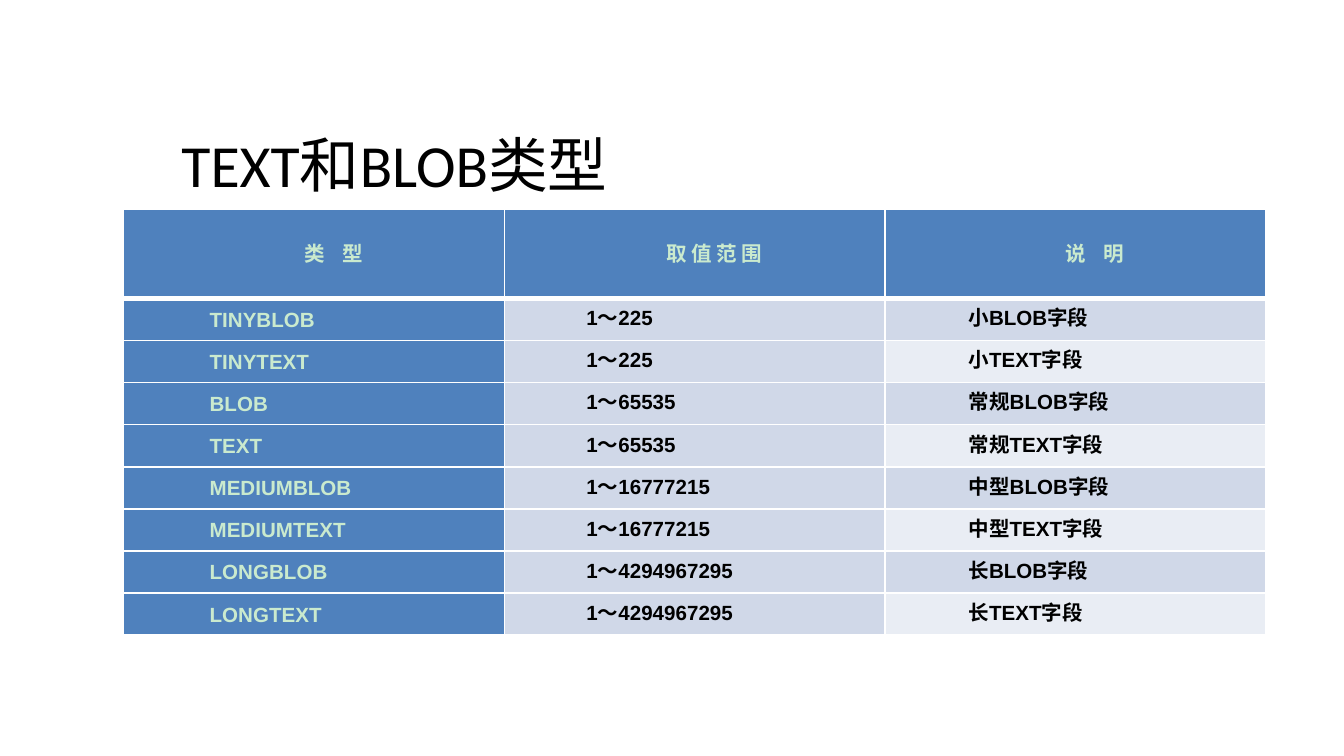
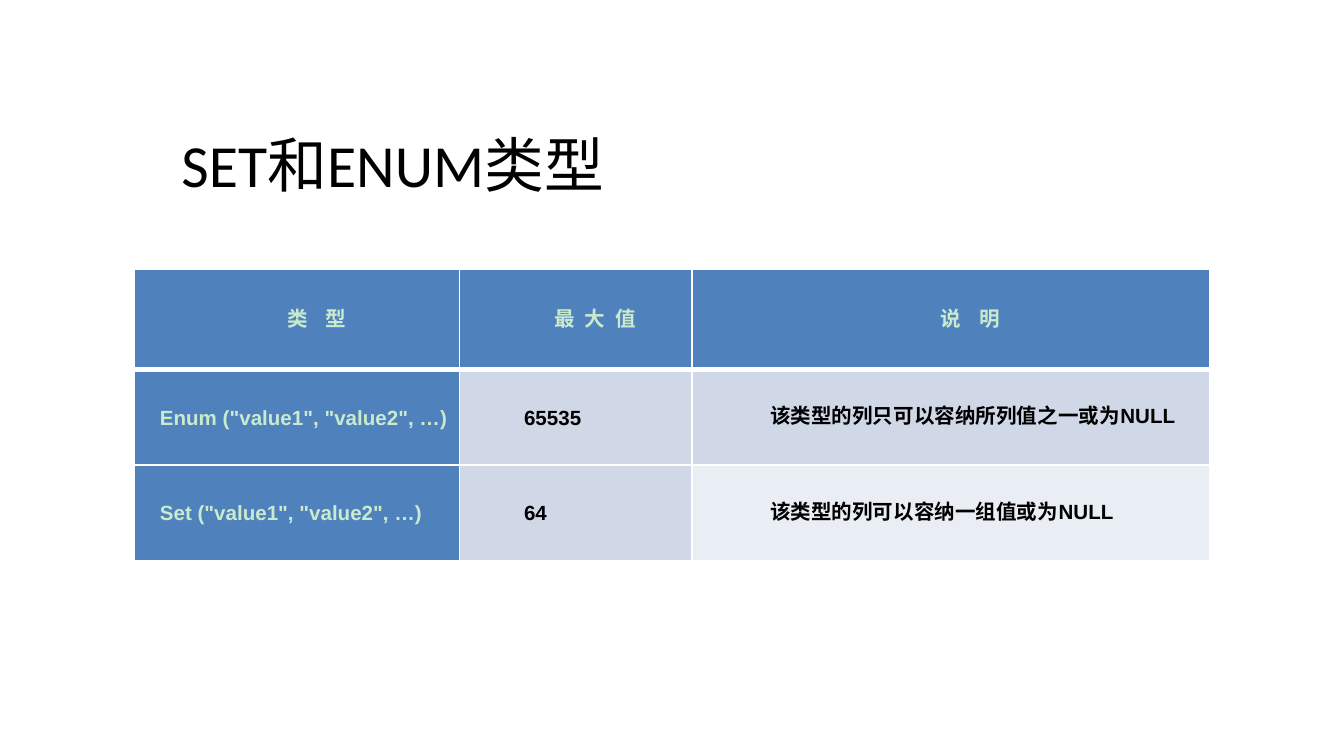
import pptx
import pptx.dml.color
import pptx.enum.text
import pptx.oxml
import pptx.oxml.ns
import pptx.util

Inches = pptx.util.Inches
Pt = pptx.util.Pt
Align = pptx.enum.text.PP_ALIGN
Anchor = pptx.enum.text.MSO_ANCHOR

COLORS = {
    "background": "FFFFFF",
    "border": "FFFFFF",
    "header": "4F81BD",
    "light_text": "CAEACE",
    "dark_text": "000000",
    "band_dark": "D0D8E8",
    "band_light": "E9EDF4",
}
TITLE_FONT = "Calibri"
TABLE_FONT = "Arial"

TEXT_BLOB_HEADERS = [("类 型", 3.5), ("取 值 范 围", 0), ("说 明", 3.5)]
TEXT_BLOB_ROWS = [
    (f"{size}{kind}", f"1～{limit}", f"{label}{kind}字段")
    for size, limit, label in [
        ("TINY", 225, "小"),
        ("", 65535, "常规"),
        ("MEDIUM", 16777215, "中型"),
        ("LONG", 4294967295, "长"),
    ]
    for kind in ("BLOB", "TEXT")
]
SET_ENUM_HEADERS = [("类 型", 3.5), ("最 大 值", 1.4), ("说 明", 3.5)]
SET_ENUM_ROWS = [
    ('Enum ("value1", "value2", …)', "65535", "该类型的列只可以容纳所列值之一或为NULL"),
    ('Set ("value1", "value2", …)', "64", "该类型的列可以容纳一组值或为NULL"),
]


def color(name):
    return pptx.dml.color.RGBColor.from_string(COLORS[name])


def style_span(span, font, size, color_name, bold=False):
    span.font.name = font
    span.font.size = Pt(size)
    span.font.bold = bold
    span.font.color.rgb = color(color_name)


def add_page(deck, title):
    page = deck.slides.add_slide(deck.slide_layouts[5])
    page.background.fill.solid()
    page.background.fill.fore_color.rgb = color("background")
    box = page.shapes.title
    box.left, box.top = Inches(1.25), Inches(0.9)
    box.width, box.height = Inches(6.08), Inches(0.67)
    frame = box.text_frame
    frame.text = title
    frame.auto_size = pptx.enum.text.MSO_AUTO_SIZE.NONE
    frame.vertical_anchor = Anchor.TOP
    para = frame.paragraphs[0]
    para.alignment = Align.LEFT
    style_span(para.runs[0], TITLE_FONT, 32, "dark_text")
    return page


def set_borders(cell, top, bottom):
    properties = cell._tc.get_or_add_tcPr()
    namespace = pptx.oxml.ns.nsdecls("a")
    sides = [("L", 1), ("R", 1), ("T", top), ("B", bottom)]
    for position, (side, width) in enumerate(sides):
        line = pptx.oxml.parse_xml(
            f'<a:ln{side} {namespace} w="{Pt(width)}"><a:solidFill>'
            f'<a:srgbClr val="{COLORS["border"]}"/></a:solidFill></a:ln{side}>'
        )
        properties.insert(position, line)


def fill_cell(cell, text, fill, text_color, alignment, line_spacing, indent, tracking=0):
    cell.fill.solid()
    cell.fill.fore_color.rgb = color(fill)
    cell.vertical_anchor = Anchor.MIDDLE
    cell.margin_left = cell.margin_right = Inches(0.07)
    cell.margin_top = cell.margin_bottom = 0
    cell.text_frame.text = text
    para = cell.text_frame.paragraphs[0]
    para.alignment = alignment
    para.line_spacing = Pt(line_spacing)
    left, first_line = indent
    properties = para._p.get_or_add_pPr()
    properties.set("marL", str(Inches(left)))
    properties.set("indent", str(Inches(first_line)))
    span = para.runs[0]
    style_span(span, TABLE_FONT, 11, text_color, bold=True)
    if tracking:
        span._r.get_or_add_rPr().set("spc", str(round(tracking * 100)))


def add_type_table(page, left, top, widths, header_height, row_height, headers, rows, indents):
    height = header_height + row_height * len(rows)
    frame = page.shapes.add_table(
        len(rows) + 1, len(headers),
        Inches(left), Inches(top), Inches(sum(widths)), Inches(height),
    )
    table = frame.table
    for column, width in zip(table.columns, widths):
        column.width = Inches(width)
    for index, row in enumerate(table.rows):
        row.height = Inches(row_height if index else header_height)

    for column, (text, tracking) in enumerate(headers):
        cell = table.cell(0, column)
        fill_cell(cell, text, "header", "light_text", Align.CENTER, 14, (0, 0.29), tracking)
        set_borders(cell, 1, 3)

    for index, texts in enumerate(rows, start=1):
        last_fill = "band_dark" if index % 2 else "band_light"
        fills = ("header", "band_dark", last_fill)
        for column, (text, fill, indent) in enumerate(zip(texts, fills, indents)):
            cell = table.cell(index, column)
            text_color = "dark_text" if column else "light_text"
            fill_cell(cell, text, fill, text_color, Align.JUSTIFY, 13, indent)
            set_borders(cell, 3 if index == 1 else 1, 1)


def main():
    deck = pptx.Presentation()
    deck.slide_width, deck.slide_height = Inches(10), Inches(10 * 9 / 16)

    page = add_page(deck, "TEXT和BLOB类型")
    add_type_table(
        page, 0.92, 1.56, [8.5 / 3] * 3, 0.66, 2.51 / len(TEXT_BLOB_ROWS),
        TEXT_BLOB_HEADERS, TEXT_BLOB_ROWS, [(0, 0.57), (0, 0.54), (0, 0.55)],
    )

    page = add_page(deck, "SET和ENUM类型")
    add_type_table(
        page, 1, 2, [2.42, 1.73, 3.85], 0.75, 0.71,
        SET_ENUM_HEADERS, SET_ENUM_ROWS, [(0, 0.12), (0, 0.41), (0.22, 0.29)],
    )

    deck.save("out.pptx")


if __name__ == "__main__":
    main()
